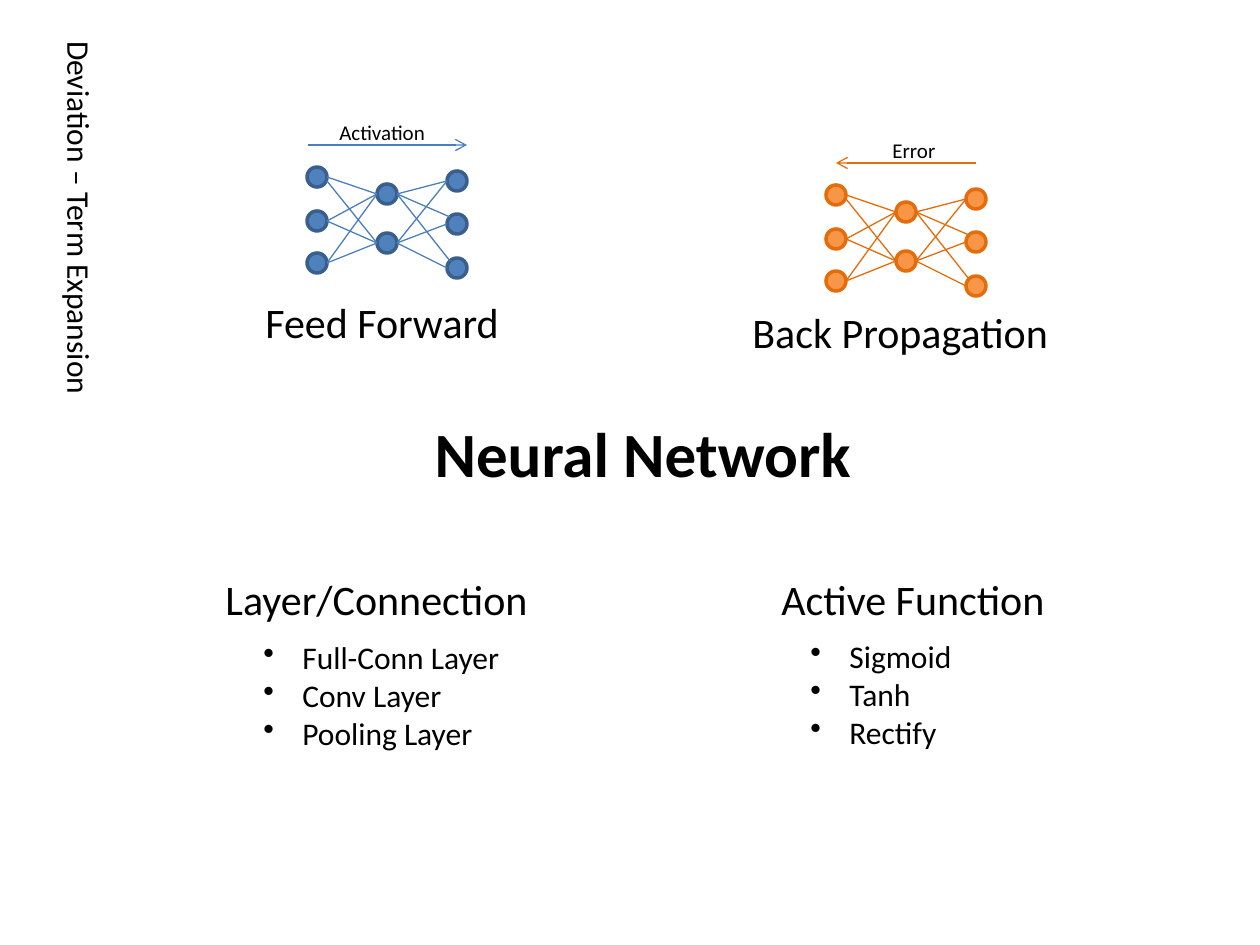
import pptx
import pptx.util
import pptx.dml.color
import pptx.enum.shapes
import pptx.enum.text
import pptx.oxml.ns
import lxml.etree

RGB = pptx.dml.color.RGBColor
BLACK = RGB(0x00, 0x00, 0x00)
BLUE = RGB(0x4F, 0x81, 0xBD)
NAVY = RGB(0x3A, 0x5F, 0x8C)
STEEL = RGB(0x4B, 0x7E, 0xBC)
ORANGE = RGB(0xF7, 0x96, 0x46)
RUST = RGB(0xE4, 0x6C, 0x0A)

FONT = "Calibri"
NODE = 20
LAYERS = [(0, [0, 44, 86]), (70, [17, 66]), (140, [4, 47, 91])]
NUDGES = {(0, 0, 1): (0, 4, 0, 0), (1, 0, 1): (0, 0, 3, -7), (1, 0, 2): (0, 0, 3, -7)}


def px(count):
    return pptx.util.Emu(count * 914400 // 126)


def add_tag(parent, name, **attrs):
    return lxml.etree.SubElement(parent, pptx.oxml.ns.qn(name), attrs)


def place(shape, left, top, width, height):
    shape.left, shape.top = px(left), px(top)
    shape.width, shape.height = px(width), px(height)


def write(shape, lines, size, bold=False, bullet=False):
    frame = shape.text_frame
    frame.word_wrap = False
    frame.auto_size = pptx.enum.text.MSO_AUTO_SIZE.SHAPE_TO_FIT_TEXT
    frame.vertical_anchor = pptx.enum.text.MSO_ANCHOR.TOP
    frame.text = "\n".join(lines)
    for para in frame.paragraphs:
        para.alignment = pptx.enum.text.PP_ALIGN.LEFT
        font = para.font
        font.name, font.size, font.bold = FONT, pptx.util.Pt(size), bold
        font.color.rgb = BLACK
        if bullet:
            props = para._p.get_or_add_pPr()
            props.set("marL", str(px(39)))
            props.set("indent", str(px(-39)))
            mark = lxml.etree.Element(pptx.oxml.ns.qn("a:buChar"), char="•")
            props.insert_element_before(mark, "a:tabLst", "a:defRPr", "a:extLst")


def add_text(slide, box, lines, size, bullet=False):
    shape = slide.shapes.add_textbox(*map(px, box))
    write(shape, lines, size, bullet=bullet)
    return shape


def add_side(slide, box, text):
    shape = add_text(slide, box, [text], 18)
    frame = shape.text_frame
    frame.auto_size = pptx.enum.text.MSO_AUTO_SIZE.NONE
    frame.word_wrap = True
    frame.margin_left = frame.margin_right = 0
    frame.margin_top = frame.margin_bottom = 0
    frame._txBody.bodyPr.set("vert", "vert")


def add_node(slide, left, top, fill, edge):
    shape = slide.shapes.add_shape(
        pptx.enum.shapes.MSO_SHAPE.OVAL, px(left), px(top), px(NODE), px(NODE))
    shape.shadow.inherit = False
    shape.fill.solid()
    shape.fill.fore_color.rgb = fill
    shape.line.color.rgb = edge
    shape.line.width = pptx.util.Pt(2)


def add_line(slide, ends, color, arrow=False):
    line = slide.shapes.add_connector(
        pptx.enum.shapes.MSO_CONNECTOR.STRAIGHT, *map(px, ends))
    line.line.color.rgb = color
    line.line.width = pptx.util.Pt(0.75)
    if arrow:
        add_tag(line.line._get_or_add_ln(), "a:tailEnd", type="arrow")
    add_tag(line._element.spPr, "a:effectLst")


def add_net(slide, left, top, fill, edge, wire):
    for col, rows in LAYERS:
        for row in rows:
            add_node(slide, left + col, top + row, fill, edge)
    for step, ((near, starts), (far, stops)) in enumerate(zip(LAYERS, LAYERS[1:])):
        for i, start in enumerate(starts):
            for j, stop in enumerate(stops):
                ends = (left + near + NODE, top + start + NODE // 2,
                        left + far, top + stop + NODE // 2)
                nudge = NUDGES.get((step, i, j), (0, 0, 0, 0))
                add_line(slide, [a + b for a, b in zip(ends, nudge)], wire)


def main():
    """Build the neural network overview slide."""
    deck = pptx.Presentation()
    deck.slide_width, deck.slide_height = px(1260), px(945)
    slide = deck.slides.add_slide(deck.slide_layouts[5])

    title = slide.shapes.title
    place(title, 422, 408, 446, 89)
    write(title, ["Neural Network"], 36, bold=True)

    for left, top, width, text in [
        (213, 567, 331, "Layer/Connection"),
        (740, 300, 323, "Back Propagation"),
        (253, 290, 261, "Feed Forward"),
        (769, 567, 291, "Active Function"),
    ]:
        add_text(slide, (left, top, width, 63), [text], 24)

    add_text(slide, (798, 631, 169, 127), ["Sigmoid", "Tanh", "Rectify"], 18, True)
    add_text(slide, (251, 632, 265, 127),
             ["Full-Conn Layer", "Conv Layer", "Pooling Layer"], 18, True)

    add_net(slide, 307, 167, BLUE, NAVY, STEEL)
    add_line(slide, (308, 145, 467, 145), STEEL, arrow=True)
    add_text(slide, (327, 113, 112, 38), ["Activation"], 12)

    add_net(slide, 826, 185, ORANGE, RUST, RUST)
    add_line(slide, (976, 163, 836, 163), RUST, arrow=True)
    add_text(slide, (880, 131, 68, 38), ["Error"], 12)

    add_side(slide, (61, 41, 38, 813), "Deviation – Term Expansion")
    deck.save("out.pptx")


if __name__ == "__main__":
    main()
